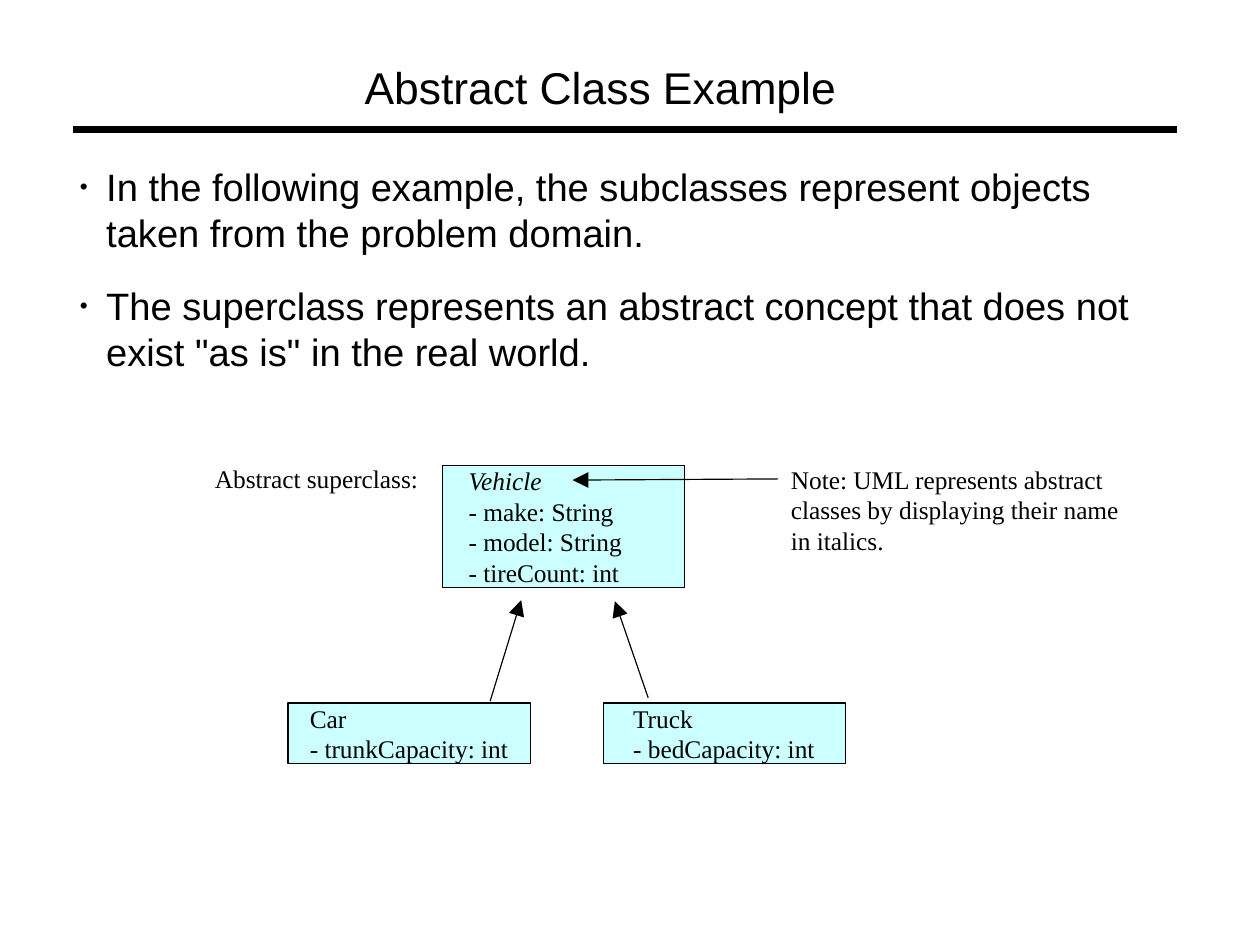
from lxml import etree
from pptx import Presentation
from pptx.dml.color import RGBColor
from pptx.enum import shapes, text
from pptx.oxml.ns import qn
from pptx.util import Emu, Inches, Pt

SERIF, SANS = "Times New Roman", "Arial"
BLACK, PALE_CYAN = "000000", "CCFFFF"


def rgb(value):
    return RGBColor.from_string(value)


def write(frame, lines, font, size, indent=0, wrap=True):
    margins = {"margin_left": Inches(indent), "margin_right": 0,
               "margin_top": 0, "margin_bottom": 0, "word_wrap": wrap}
    for key, value in margins.items():
        setattr(frame, key, value)
    frame.text = "\n".join(lines)
    for paragraph in frame.paragraphs:
        paragraph.alignment = text.PP_ALIGN.LEFT
        for run in paragraph.runs:
            run.font.name, run.font.size = font, Pt(size)
            run.font.color.rgb = rgb(BLACK)
    return frame.paragraphs


# Page of 28 by 21 cm, in the exact units of the format
prs = Presentation()
prs.slide_width, prs.slide_height = Emu(10080625), Emu(7559675)
slide = prs.slides.add_slide(prs.slide_layouts[6])

# Class boxes: left, top, height, text indent, lines
classes = [
    (3.87, 4.07, 1.07, 0.23,
     ["Vehicle", "- make: String", "- model: String", "- tireCount: int"]),
    (2.52, 6.15, 0.53, 0.19, ["Car", "- trunkCapacity: int"]),
    (5.28, 6.15, 0.53, 0.26, ["Truck", "- bedCapacity: int"]),
]
for left, top, height, indent, members in classes:
    class_box = slide.shapes.add_shape(
        shapes.MSO_SHAPE.ROUNDED_RECTANGLE,
        Inches(left), Inches(top), Inches(2.12), Inches(height))
    class_box.adjustments[0] = 0
    class_box.shadow.inherit = False
    class_box.fill.solid()
    class_box.fill.fore_color.rgb = rgb(PALE_CYAN)
    class_box.line.color.rgb = rgb(BLACK)
    class_box.line.width = Pt(0.75)
    class_box.text_frame.vertical_anchor = text.MSO_ANCHOR.MIDDLE
    rows = write(class_box.text_frame, members, SERIF, 16, indent)
    rows[0].runs[0].font.italic = members[0] == "Vehicle"

# Title, bullets and labels: position, lines, font, size, wrap
texts = [
    ((3.19, 0.53, 5.28, 0.47), ["Abstract Class Example"], SANS, 28, True),
    ((0.7, 1.43, 9.37, 1.84),
     ["In the following example, the subclasses represent objects taken "
      "from the problem domain.",
      "The superclass represents an abstract concept that does not exist "
      '"as is" in the real world.'], SANS, 24, True),
    ((1.88, 4.05, 1.78, 0.27), ["Abstract superclass:"], SERIF, 16, False),
    ((6.92, 4.06, 2.87, 0.8),
     ["Note: UML represents abstract", "classes by displaying their name",
      "in italics."], SERIF, 16, False),
]
for position, lines, font, size, wrap in texts:
    box = slide.shapes.add_textbox(*map(Inches, position))
    paragraphs = write(box.text_frame, lines, font, size, wrap=wrap)
    if size == 24:
        paragraphs[1].space_before = Pt(17.5)
        for bullet in paragraphs:
            props = bullet._p.get_or_add_pPr()
            props.set("marL", str(Inches(0.23)))
            props.set("indent", str(-Inches(0.23)))
            etree.SubElement(props, qn("a:buSzPct")).set("val", "59000")
            etree.SubElement(props, qn("a:buFont")).set("typeface", SANS)
            etree.SubElement(props, qn("a:buChar")).set("char", "•")

# Title rule and arrows: start, end, width, arrowhead
lines = [
    ((0.67, 1.13), (10.27, 1.13), 4.31, False),
    ((4.29, 6.13), (4.56, 5.25), 0.75, True),
    ((5.67, 6.1), (5.38, 5.26), 0.75, True),
    ((6.8, 4.19), (5.01, 4.2), 0.75, True),
]
for start, end, width, arrow in lines:
    line = slide.shapes.add_connector(
        shapes.MSO_CONNECTOR.STRAIGHT, *map(Inches, start + end))
    line.line.color.rgb = rgb(BLACK)
    line.line.width = Pt(width)
    stroke = line._element.spPr.find(qn("a:ln"))
    stroke.set("cap", "sq")
    if arrow:
        head = etree.SubElement(stroke, qn("a:tailEnd"))
        for key, value in {"type": "triangle", "w": "lg", "len": "lg"}.items():
            head.set(key, value)
    etree.SubElement(line._element.spPr, qn("a:effectLst"))

prs.save("out.pptx")
